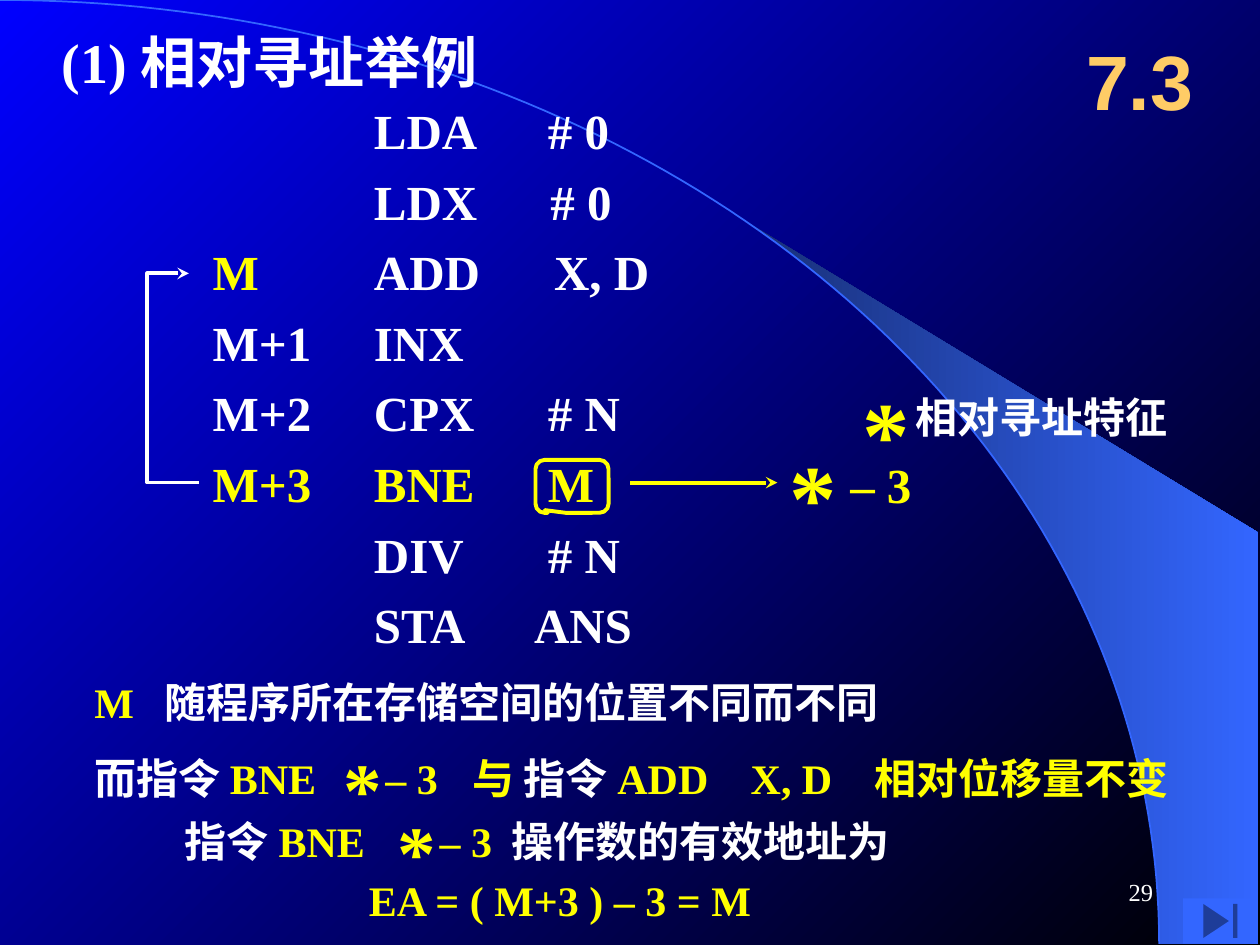
import math

import pptx
import pptx.dml.color
import pptx.enum.shapes
import pptx.enum.text
import pptx.oxml
import pptx.oxml.ns
import pptx.util

SHAPE = pptx.enum.shapes.MSO_SHAPE
ALIGN = pptx.enum.text.PP_ALIGN
ANCHOR = pptx.enum.text.MSO_ANCHOR
inch = pptx.util.Inches

W, H = 10, 7.5
WHITE, YELLOW, BLUE, GOLD = "FFFFFF", "FFFF00", "3366FF", "FFCC66"

# address label, operation, operand, operand tab stop, colours of label and code
PROGRAM = [
    ("", "LDA", "# 0", 1.38, WHITE, WHITE),
    ("", "LDX", "# 0", 1.4, WHITE, WHITE),
    ("M", "ADD", "X, D", 1.43, YELLOW, WHITE),
    ("M+1", "INX", "", 1.38, WHITE, WHITE),
    ("M+2", "CPX", "# N", 1.38, WHITE, WHITE),
    ("M+3", "BNE", "M", 1.38, YELLOW, YELLOW),
    ("", "DIV", "# N", 1.38, WHITE, WHITE),
    ("", "STA", "ANS", 1.27, WHITE, WHITE),
]
LABEL_X, CODE_X, CODE_Y, ROW = 1.59, 2.87, 0.75, 0.56

# left, top, width, size, runs, tab stops
TEXTS = [
    (0.39, 0.17, 4.2, 32, [("(1) 相对寻址举例", WHITE)], []),
    (0.65, 5.32, 9, 24, [("M\t", YELLOW), ("随程序所在存储空间的位置不同而不同", WHITE)], [0.56]),
    (0.65, 5.92, 9.3, 24,
     [("而指令 ", WHITE), ("BNE\t与 ", YELLOW), ("指令 ", WHITE),
      ("ADD\tX, D\t相对位移量不变", YELLOW)], [3, 5.21, 6.19]),
    (1.37, 6.42, 2, 24, [("指令 ", WHITE), ("BNE", YELLOW)], []),
    (3.96, 6.42, 3.5, 24, [("操作数的有效地址为", WHITE)], []),
    (2.83, 6.89, 3.6, 24, [("EA = ( M+3 ) – 3 = M", YELLOW)], []),
    (7.17, 3.06, 2.6, 24, [("相对寻址特征", WHITE)], []),
    (6.75, 2.92, 1.08, 54, [("*", YELLOW)], []),
]

# star left, star top, star size, offset of "– 3", size of "– 3"
STAR_MINUS = [
    (6.17, 3.42, 54, (0.48, 0.14), 28),
    (2.63, 5.83, 44, (0.33, 0.09), 24),
    (3.06, 6.33, 44, (0.33, 0.09), 24),
]


def rgb(color):
    return pptx.dml.color.RGBColor.from_string(color)


def add_text(s, x, y, w, h, size, runs, tabs=(), font="Times New Roman",
             bold=True, align=ALIGN.LEFT, anchor=ANCHOR.TOP):
    tf = s.shapes.add_textbox(inch(x), inch(y), inch(w), inch(h)).text_frame
    tf.word_wrap = True
    tf.vertical_anchor = anchor
    p = tf.paragraphs[0]
    p.alignment = align
    if tabs:
        tab_list = pptx.oxml.parse_xml(
            "<a:tabLst %s>%s</a:tabLst>" % (
                pptx.oxml.ns.nsdecls("a"),
                "".join(f'<a:tab pos="{inch(t)}" algn="l"/>' for t in tabs)))
        p._p.get_or_add_pPr().append(tab_list)
    for text, color in runs:
        r = p.add_run()
        r.text = text
        r.font.name = font
        r.font.size = pptx.util.Pt(size)
        r.font.bold = bold
        r.font.color.rgb = rgb(color)


def set_line(line, color, width):
    line.color.rgb = rgb(color)
    line.width = pptx.util.Pt(width)


def add_arrowhead(line):
    line._get_or_add_ln().append(pptx.oxml.parse_xml(
        '<a:tailEnd type="stealth" %s/>' % pptx.oxml.ns.nsdecls("a")))


def add_outline(s, points, close):
    points = [(inch(x), inch(y)) for x, y in points]
    builder = s.shapes.build_freeform(*points[0])
    builder.add_line_segments(points[1:], close=close)
    sp = builder.convert_to_shape()
    sp.shadow.inherit = False
    return sp


def set_gradient(fill, colors, angle):
    fill.gradient()
    fill.gradient_angle = angle
    for stop, color in zip(fill.gradient_stops, colors):
        stop.color.rgb = rgb(color)


def add_backdrop(s):
    """Blue gradient, quarter ellipse and the band outside it."""
    set_gradient(s.background.fill, ("0000FF", "000000"), 315)
    rx, ry, right = 9.2, 7.49, 9.99
    arc = [(rx * math.sin(math.radians(a)), ry * (1 - math.cos(math.radians(a))))
           for a in range(91)]
    band = add_outline(s, arc[40:] + [(right, ry), (right, 4.23)], True)
    set_gradient(band.fill, ("182F76", BLUE), 0)
    band.line.fill.background()
    curve = add_outline(s, arc, False)
    curve.fill.background()
    set_line(curve.line, BLUE, 1)


def add_program(s):
    for i, (label, op, operand, tab, label_color, color) in enumerate(PROGRAM):
        y = CODE_Y + i * ROW
        if label:
            add_text(s, LABEL_X, y, 1.2, 0.57, 28, [(label, label_color)])
        code = f"{op}\t{operand}" if operand else op
        add_text(s, CODE_X, y, 2.7, 0.57, 28, [(code, color)], [tab])


def add_jump(s):
    """Loop arrow back to M, and the framed operand with its arrow."""
    loop = add_outline(s, [(1.58, 3.83), (1.17, 3.83), (1.17, 2.17), (1.5, 2.17)], False)
    loop.fill.background()
    set_line(loop.line, WHITE, 2.25)
    add_arrowhead(loop.line)

    frame = s.shapes.add_shape(SHAPE.ROUNDED_RECTANGULAR_CALLOUT,
                               inch(4.25), inch(3.65), inch(0.58), inch(0.42))
    frame.shadow.inherit = False
    for i, value in enumerate((-0.37, 0.45, 0.17)):
        frame.adjustments[i] = value
    frame.fill.background()
    set_line(frame.line, YELLOW, 2.25)

    arrow = s.shapes.add_connector(pptx.enum.shapes.MSO_CONNECTOR.STRAIGHT,
                                   inch(5), inch(3.83), inch(6.17), inch(3.83))
    set_line(arrow.line, YELLOW, 2.25)
    add_arrowhead(arrow.line)
    arrow._element.spPr.append(pptx.oxml.parse_xml(
        "<a:effectLst %s/>" % pptx.oxml.ns.nsdecls("a")))


def main():
    prs = pptx.Presentation()
    prs.slide_width, prs.slide_height = inch(W), inch(H)
    s = prs.slides.add_slide(prs.slide_layouts[6])
    add_backdrop(s)
    add_program(s)
    add_jump(s)
    for x, y, w, size, runs, tabs in TEXTS:
        add_text(s, x, y, w, size / 60 + 0.1, size, runs, tabs)
    for x, y, star_size, (dx, dy), size in STAR_MINUS:
        add_text(s, x, y, 0.75, star_size / 60 + 0.1, star_size, [("*", YELLOW)])
        add_text(s, x + dx, y + dy, 1, 0.5, size, [("– 3", YELLOW)])
    add_text(s, 8.42, 0.17, 1.25, 0.92, 44, [("7.3", GOLD)], font="Arial",
             align=ALIGN.CENTER, anchor=ANCHOR.MIDDLE)
    add_text(s, 7.17, 6.83, 2.08, 0.5, 14, [("29", WHITE)], bold=False,
             align=ALIGN.RIGHT, anchor=ANCHOR.MIDDLE)

    button = s.shapes.add_shape(SHAPE.ACTION_BUTTON_END,
                                inch(9.39), inch(7.13), inch(0.59), inch(0.36))
    button.shadow.inherit = False
    button.fill.solid()
    button.fill.fore_color.rgb = rgb(BLUE)
    button.line.fill.background()
    prs.save("out.pptx")


if __name__ == "__main__":
    main()
